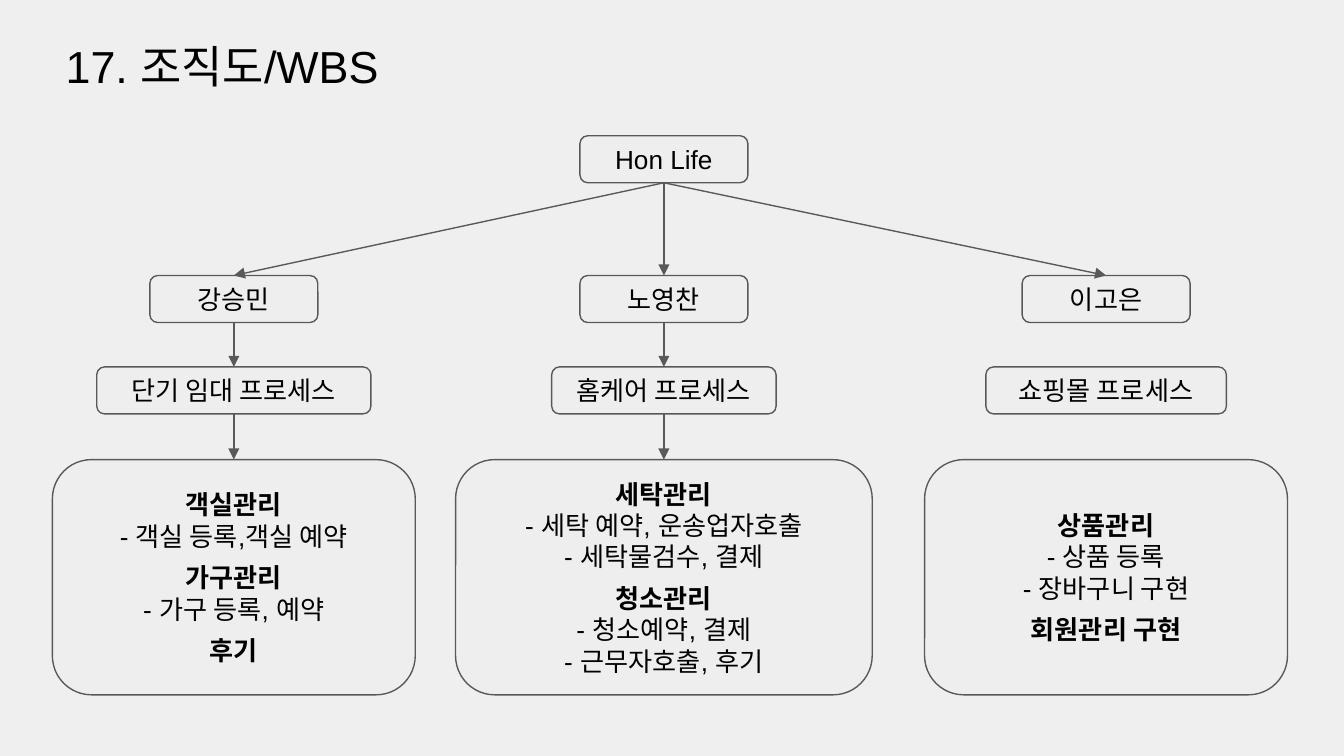
from dataclasses import dataclass

import pptx
import pptx.dml.color
import pptx.enum.shapes
import pptx.enum.text
import pptx.oxml
import pptx.oxml.ns
import pptx.util
from pptx.util import Inches

RGB = pptx.dml.color.RGBColor
ALIGN = pptx.enum.text.PP_ALIGN
ANCHOR = pptx.enum.text.MSO_ANCHOR


@dataclass(frozen=True)
class Theme:
    background: RGB = RGB(0xEF, 0xEF, 0xEF)
    box_fill: RGB = RGB(0xEE, 0xEE, 0xEE)
    outline: RGB = RGB(0x59, 0x59, 0x59)
    text: RGB = RGB(0, 0, 0)
    font: str = "Arial"
    title_size: int = 24
    body_size: int = 14
    line_width: float = 0.75
    group_gap: float = 5.5


@dataclass(frozen=True)
class TaskGroup:
    heading: str
    tasks: tuple[str, ...] = ()


@dataclass(frozen=True)
class Branch:
    center: float
    member: str
    process: str
    process_width: float
    task_width: float
    groups: tuple[TaskGroup, ...]
    linked: bool = True


THEME = Theme()
SLIDE_WIDTH = Inches(10)
SLIDE_HEIGHT = SLIDE_WIDTH * 9 // 16
BOX_WIDTH, BOX_HEIGHT, TASK_HEIGHT = 1.25, 0.35, 1.75
ROOT_CENTER = 4.94
ROOT_TOP, MEMBER_TOP, PROCESS_TOP, TASK_TOP = 1.01, 2.05, 2.73, 3.42

BRANCHES = (
    Branch(1.74, "강승민", "단기 임대 프로세스", 2.04, 2.7, (
        TaskGroup("객실관리", ("객실 등록,객실 예약",)),
        TaskGroup("가구관리", ("가구 등록, 예약",)),
        TaskGroup("후기"))),
    Branch(ROOT_CENTER, "노영찬", "홈케어 프로세스", 1.67, 3.1, (
        TaskGroup("세탁관리", ("세탁 예약, 운송업자호출", "세탁물검수, 결제")),
        TaskGroup("청소관리", ("청소예약, 결제", "근무자호출, 후기")))),
    Branch(8.23, "이고은", "쇼핑몰 프로세스", 1.79, 2.7, (
        TaskGroup("상품관리", ("상품 등록", "장바구니 구현")),
        TaskGroup("회원관리 구현")), linked=False),
)


def set_frame(frame, anchor) -> None:
    margins = {f"margin_{side}": Inches(0.1) for side in ("left", "right", "top", "bottom")}
    for name, value in {"word_wrap": True, "vertical_anchor": anchor, **margins}.items():
        setattr(frame, name, value)


def write_line(paragraph, text: str, size: int, align, bold: bool = False) -> None:
    paragraph.alignment = align
    run = paragraph.add_run()
    run.text = text
    formats = {"name": THEME.font, "size": pptx.util.Pt(size), "bold": bold}
    for name, value in formats.items():
        setattr(run.font, name, value)
    run.font.color.rgb = THEME.text


def add_box(slide, center: float, top: float, width: float, height: float = BOX_HEIGHT):
    box = slide.shapes.add_shape(
        pptx.enum.shapes.MSO_SHAPE.ROUNDED_RECTANGLE,
        Inches(center - width / 2), Inches(top), Inches(width), Inches(height))
    box.shadow.inherit = False
    box.fill.solid()
    box.fill.fore_color.rgb = THEME.box_fill
    box.line.color.rgb = THEME.outline
    box.line.width = pptx.util.Pt(THEME.line_width)
    set_frame(box.text_frame, ANCHOR.MIDDLE)
    return box


def add_label_box(slide, text: str, center: float, top: float, width: float = BOX_WIDTH):
    box = add_box(slide, center, top, width)
    write_line(box.text_frame.paragraphs[0], text, THEME.body_size, ALIGN.CENTER)
    return box


def add_task_box(slide, branch: Branch):
    box = add_box(slide, branch.center, TASK_TOP, branch.task_width, TASK_HEIGHT)
    frame = box.text_frame
    for index, group in enumerate(branch.groups):
        heading = frame.add_paragraph() if index else frame.paragraphs[0]
        if index:
            heading.space_before = pptx.util.Pt(THEME.group_gap)
        write_line(heading, group.heading, THEME.body_size, ALIGN.CENTER, bold=True)
        for task in group.tasks:
            write_line(frame.add_paragraph(), f"- {task}", THEME.body_size, ALIGN.CENTER)
    return box


def add_arrow(slide, upper, lower) -> None:
    arrow = slide.shapes.add_connector(
        pptx.enum.shapes.MSO_CONNECTOR.STRAIGHT, 0, 0, 0, 0)
    arrow.begin_connect(upper, 2)
    arrow.end_connect(lower, 0)
    arrow.line.color.rgb = THEME.outline
    arrow.line.width = pptx.util.Pt(THEME.line_width)
    namespace = pptx.oxml.ns.nsdecls("a")
    arrow.line._get_or_add_ln().append(
        pptx.oxml.parse_xml(f'<a:tailEnd {namespace} type="triangle"/>'))
    arrow._element.spPr.append(pptx.oxml.parse_xml(f"<a:effectLst {namespace}/>"))


def main() -> None:
    deck = pptx.Presentation()
    deck.slide_width, deck.slide_height = SLIDE_WIDTH, SLIDE_HEIGHT
    slide = deck.slides.add_slide(deck.slide_layouts[6])
    slide.background.fill.solid()
    slide.background.fill.fore_color.rgb = THEME.background

    # Title
    title = slide.shapes.add_textbox(Inches(0.39), Inches(0.19), Inches(4.39), Inches(0.59))
    set_frame(title.text_frame, ANCHOR.TOP)
    write_line(title.text_frame.paragraphs[0], "17. 조직도/WBS", THEME.title_size, ALIGN.LEFT)

    # Organisation chart: project, members, processes, tasks
    project = add_label_box(slide, "Hon Life", ROOT_CENTER, ROOT_TOP)
    for branch in BRANCHES:
        member = add_label_box(slide, branch.member, branch.center, MEMBER_TOP)
        process = add_label_box(
            slide, branch.process, branch.center, PROCESS_TOP, branch.process_width)
        tasks = add_task_box(slide, branch)

        # Arrows down the branch
        add_arrow(slide, project, member)
        if branch.linked:
            add_arrow(slide, member, process)
            add_arrow(slide, process, tasks)

    deck.save("out.pptx")


if __name__ == "__main__":
    main()
